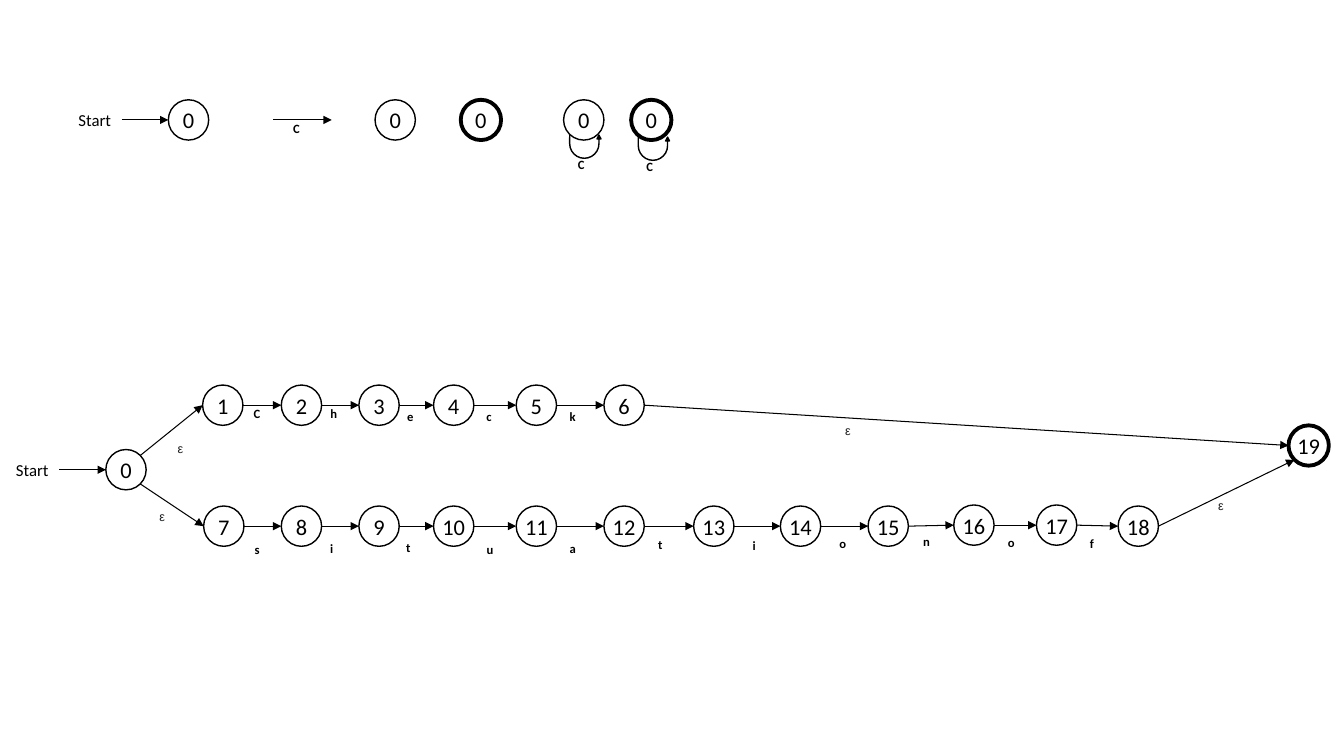
from dataclasses import dataclass
from math import sqrt

from lxml import etree
from pptx import Presentation
from pptx import util as u
from pptx.dml.color import RGBColor
from pptx.enum import shapes, text
from pptx.oxml.ns import qn


@dataclass(frozen=True)
class Theme:
    ink: str = "000000"
    epsilon: str = "202124"
    font: str = "Calibri"
    epsilon_font: str = "Arial"
    state_size: float = 16
    start_size: float = 12
    label_size: float = 9
    edge: float = 0.75
    outline: float = 1
    accepting: float = 2.75


def write(sp, content, size, color, font, bold=False):
    """Centre one formatted run in a shape without margins."""
    tf = sp.text_frame
    tf.margin_left = tf.margin_right = tf.margin_top = tf.margin_bottom = 0
    tf.word_wrap = True
    tf.vertical_anchor = text.MSO_ANCHOR.MIDDLE
    p = tf.paragraphs[0]
    p.alignment = text.PP_ALIGN.CENTER
    r = p.add_run()
    r.text = content
    r.font.size, r.font.name, r.font.bold = u.Pt(size), font, bold
    r.font.color.rgb = RGBColor.from_string(color)


class Automaton:
    """Draws on a grid of 0.1 inch columns and rows; places are centres."""
    CELL = u.Inches(0.1)
    RADIUS = 2
    DIAGONAL = RADIUS / sqrt(2)

    def __init__(self, slide, theme):
        self.s, self.theme = slide, theme

    def grid(self, *cells):
        return [round(c * self.CELL) for c in cells]

    def box(self, x, y, w, h):
        return self.grid(x - w / 2, y - h / 2, w, h)

    def stroke(self, sp, width):
        sp.line.color.rgb = RGBColor.from_string(self.theme.ink)
        sp.line.width = u.Pt(width)

    def state(self, number, x, y, accepting=False):
        t = self.theme
        sp = self.s.shapes.add_shape(
            shapes.MSO_SHAPE.OVAL, *self.box(x, y, 2 * self.RADIUS, 2 * self.RADIUS))
        sp.shadow.inherit = False
        sp.fill.background()
        self.stroke(sp, t.accepting if accepting else t.outline)
        write(sp, str(number), t.state_size, t.ink, t.font)

    def arrow(self, x1, y1, x2, y2):
        sp = self.s.shapes.add_connector(
            shapes.MSO_CONNECTOR.STRAIGHT, *self.grid(x1, y1, x2, y2))
        self.stroke(sp, self.theme.edge)
        etree.SubElement(sp.line._get_or_add_ln(), qn("a:tailEnd"), type="triangle")
        etree.SubElement(sp._element.spPr, qn("a:effectLst"))

    def label(self, content, x, y):
        t = self.theme
        sp = self.s.shapes.add_textbox(*self.box(x, y, 1.6, 2.5))
        if content == "ε":
            write(sp, content, t.label_size, t.epsilon, t.epsilon_font)
        else:
            write(sp, content, t.label_size, t.ink, t.font, bold=True)

    def start(self, x, y):
        """Start word and arrow leading into the state at x, y."""
        t = self.theme
        sp = self.s.shapes.add_textbox(*self.box(x - 9.3, y, 5.3, 3))
        write(sp, "Start", t.start_size, t.ink, t.font)
        self.arrow(x - 6.6, y, x - self.RADIUS, y)

    def loop(self, content, x, y):
        sp = self.s.shapes.add_shape(
            shapes.MSO_SHAPE.U_TURN_ARROW, *self.box(x, y, 3.1, 2.3))
        sp.shadow.inherit = False
        for i, value in enumerate((0, 0.085, 0.164, 0.717, 1)):
            sp.adjustments[i] = value
        sp.rotation = 180
        sp._element.spPr.find(qn("a:xfrm")).set("flipH", "1")
        sp.fill.solid()
        sp.fill.fore_color.rgb = RGBColor.from_string(self.theme.ink)
        self.stroke(sp, self.theme.outline)
        self.label(content, x - 0.4, y + 1.8)

    def chain(self, first, states, labels):
        """Row of numbered states, each joined to the next by a labelled arrow."""
        for number, (x, y) in enumerate(states, first):
            self.state(number, x, y)
        for (x1, y1), (x2, y2), label in zip(states, states[1:], labels):
            self.arrow(x1 + self.RADIUS, y1, x2 - self.RADIUS, y2)
            self.label(*label)


def main():
    prs = Presentation()
    prs.slide_width, prs.slide_height = u.Inches(13.33), u.Inches(7.5)
    nfa = Automaton(prs.slides.add_slide(prs.slide_layouts[6]), Theme())
    reach, diagonal = nfa.RADIUS, nfa.DIAGONAL

    # Legend of symbols
    legend_y = 11.9
    nfa.start(18.7, legend_y)
    nfa.arrow(27.1, legend_y, 32.9, legend_y)
    nfa.label("C", 29.4, 12.75)
    for x, accepting in ((18.7, False), (39.2, False), (47.7, True),
                         (57.9, False), (64.6, True)):
        nfa.state(0, x, legend_y, accepting)
    nfa.loop("C", 58.05, 14.55)
    nfa.loop("C", 64.85, 14.75)

    # Start and accepting states
    start_x, start_y = 12.5, 46.6
    end_x, end_y = 129.8, 44.2
    nfa.start(start_x, start_y)
    nfa.state(0, start_x, start_y)
    nfa.state(19, end_x, end_y, accepting=True)

    # Upper chain
    columns = [29.9, 37.6, 45, 53.2, 61.9]
    upper = [(x, 40.2) for x in [22.1] + columns]
    nfa.chain(1, upper, [("C", 25.5, 41.05), ("h", 33.1, 41.05), ("e", 40.7, 41.35),
                         ("c", 48.5, 41.35), ("k", 56.8, 41.35)])

    # Lower chain
    lower = [(x, 52.2) for x in [22.2] + columns + [70.8, 79.4, 88.1]]
    lower += [(96.6, 52.1), (104.8, 52.1), (112.9, 52.2)]
    nfa.chain(7, lower, [("s", 25.5, 54.55), ("i", 32.9, 54.45), ("t", 40.5, 54.35),
                         ("u", 48.6, 54.55), ("a", 56.8, 54.45), ("t", 65.5, 54.05),
                         ("i", 74.8, 54.15), ("o", 83.6, 53.95), ("n", 91.9, 53.75),
                         ("o", 100.3, 53.85), ("f", 108.3, 53.95)])

    # Epsilon moves between the chains and the outer states
    for row, side, entry, leave in (
            (upper, -1, (17.9, 44.45), (84.1, 42.75)),
            (lower, 1, (16.1, 51.25), (121.1, 50.15))):
        (first_x, first_y), (last_x, last_y) = row[0], row[-1]
        nfa.arrow(start_x + diagonal, start_y + side * diagonal, first_x - reach, first_y)
        nfa.label("ε", *entry)
        target = ((end_x - reach, end_y) if row is upper
                  else (end_x - diagonal, end_y + diagonal))
        nfa.arrow(last_x + reach, last_y, *target)
        nfa.label("ε", *leave)

    prs.save("out.pptx")


if __name__ == "__main__":
    main()
